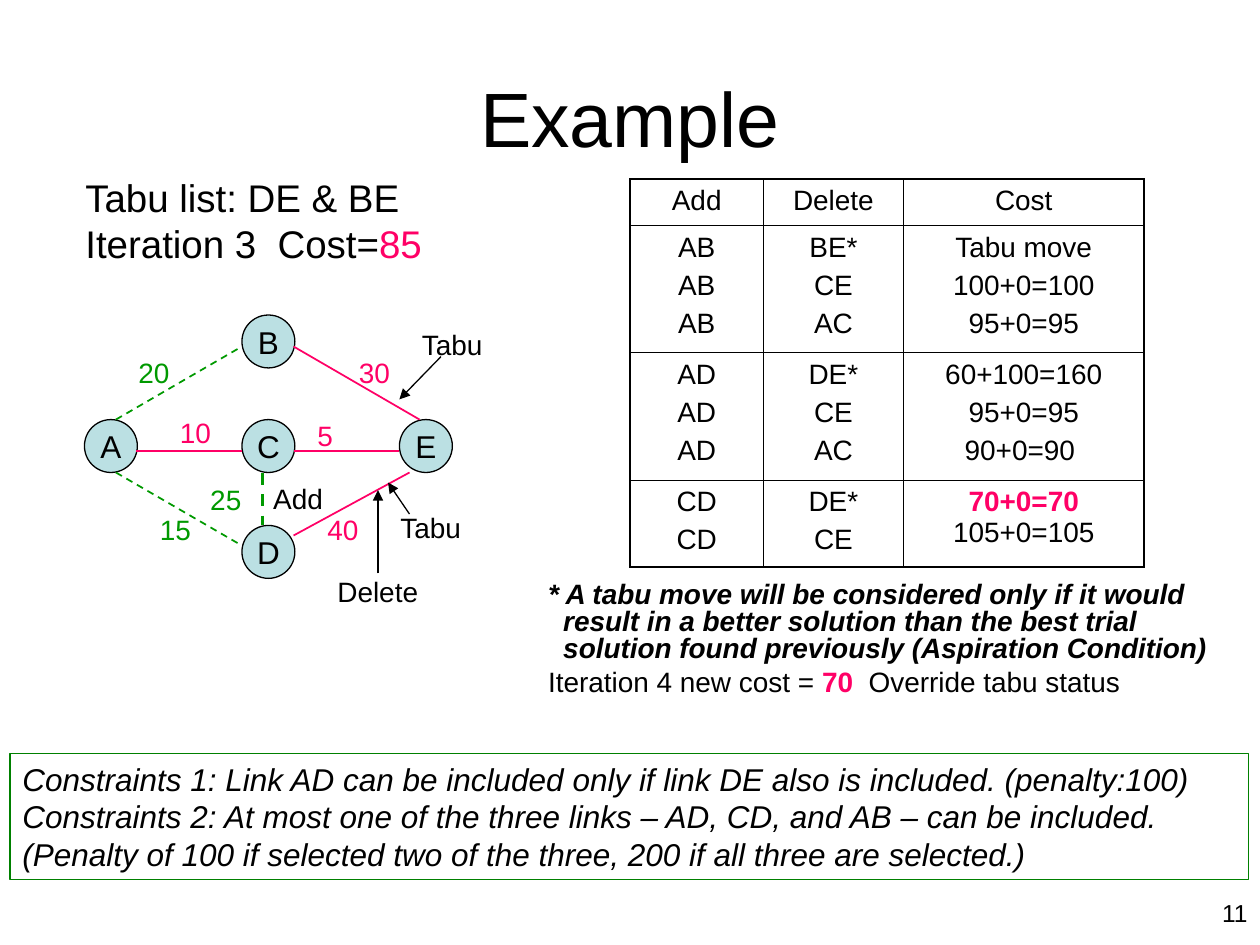
from lxml import etree
from pptx import Presentation, util as u
from pptx.dml import color as dc
from pptx.enum import dml, shapes as sh, text as tx
from pptx.oxml import ns

BLACK, PINK, GREEN = "000000", "FF0066", "009900"
FRAME, NODE = "008000", "BBE0E3"


def rgb(code):
    return dc.RGBColor.from_string(code)


def assign(item, values):
    for key, value in values.items():
        setattr(item, key, value)


def child(parent, tag, **attrs):
    return etree.SubElement(parent, ns.qn(tag), **attrs)


class Deck:
    font = {"name": "Arial", "bold": False, "italic": False}
    pad = {"margin_left": u.Inches(0.1), "margin_right": u.Inches(0.1),
           "margin_top": u.Inches(0.05), "margin_bottom": u.Inches(0.05)}
    bare = dict.fromkeys(pad, 0)

    def __init__(self):
        self.show = Presentation()
        assign(self.show, {"slide_width": u.Inches(10),
                           "slide_height": u.Inches(7.5)})
        self.slide = self.show.slides.add_slide(self.show.slide_layouts[1])

    def prose(self, frame, paras, size, tint=BLACK, align="LEFT",
              gap=0, space=1.0, hang=0, **style):
        for i, runs in enumerate(paras):
            para = frame.paragraphs[0] if i == 0 else frame.add_paragraph()
            if hang:
                props = para._p.get_or_add_pPr()
                props.set("marL", str(u.Inches(hang)))
                props.set("indent", str(-u.Inches(hang)))
                child(props, "a:buNone")
            assign(para, {"alignment": getattr(tx.PP_ALIGN, align),
                          "line_spacing": space,
                          "space_before": u.Pt(gap if i else 0)})
            for part in [(runs, {})] if isinstance(runs, str) else runs:
                words, extra = part
                run = para.add_run()
                run.text = words
                look = {**self.font, "size": u.Pt(size), **style, **extra}
                run.font.color.rgb = rgb(look.pop("tint", tint))
                assign(run.font, look)

    def fit(self, frame, pad, anchor="TOP", wrap=True):
        assign(frame, {**pad, "word_wrap": wrap,
                       "auto_size": tx.MSO_AUTO_SIZE.NONE,
                       "vertical_anchor": getattr(tx.MSO_ANCHOR, anchor)})

    def holder(self, index, box, paras, size, anchor="TOP", **style):
        item = self.slide.placeholders[index]
        names = ("left", "top", "width", "height")
        assign(item, dict(zip(names, map(u.Inches, box))))
        self.fit(item.text_frame, self.pad, anchor)
        self.prose(item.text_frame, paras, size, **style)

    def label(self, box, paras, size=16, **style):
        item = self.slide.shapes.add_textbox(*map(u.Inches, box))
        self.fit(item.text_frame, self.pad)
        self.prose(item.text_frame, paras, size, **style)

    def shape(self, kind, box, paras, edge, width, fill=None,
              pad=None, anchor="TOP", wrap=True, **style):
        item = self.slide.shapes.add_shape(
            getattr(sh.MSO_SHAPE, kind), *map(u.Inches, box))
        item.shadow.inherit = False
        if fill:
            item.fill.solid()
            item.fill.fore_color.rgb = rgb(fill)
        else:
            item.fill.background()
        item.line.color.rgb = rgb(edge)
        item.line.width = u.Pt(width)
        self.fit(item.text_frame, pad or self.pad, anchor, wrap)
        self.prose(item.text_frame, paras, 18, **style)

    def node(self, name, left, top):
        self.shape("OVAL", (left, top, 0.42, 0.42), [name], BLACK, 0.75,
                   NODE, self.bare, "MIDDLE", False, align="CENTER")

    def line(self, ends, tint=BLACK, width=0.75, dash=False, arrow=False):
        item = self.slide.shapes.add_connector(
            sh.MSO_CONNECTOR.STRAIGHT, *map(u.Inches, ends))
        item.line.color.rgb = rgb(tint)
        item.line.width = u.Pt(width)
        if dash:
            item.line.dash_style = dml.MSO_LINE.DASH
        props = item.element.spPr
        if arrow:
            child(props.find(ns.qn("a:ln")), "a:tailEnd", type="triangle")
        child(props, "a:effectLst")

    def border(self, cell, sides):
        props = cell._tc.get_or_add_tcPr()
        for side, thick in sides.items():
            edge = child(props, "a:ln" + side,
                         w=str(u.Pt(1.08 if thick else 0.45)))
            child(child(edge, "a:solidFill"), "a:srgbClr", val=BLACK)

    def table(self, box, cols, rows, data):
        grid = self.slide.shapes.add_table(
            len(rows), len(cols), *map(u.Inches, box)).table
        assign(grid, {"first_row": False, "horz_banding": False})
        for col, width in zip(grid.columns, cols):
            col.width = u.Inches(width)
        for row, height in zip(grid.rows, rows):
            row.height = u.Inches(height)
        for r, line in enumerate(data):
            for c, paras in enumerate(line):
                cell = grid.cell(r, c)
                assign(cell, self.pad)
                self.border(cell, {"L": c == 0, "R": c == len(cols) - 1,
                                   "T": r == 0, "B": r == len(rows) - 1})
                cell.fill.background()
                self.prose(cell.text_frame, paras, 16, align="CENTER", gap=4)


def main():
    deck = Deck()
    hot = {"tint": PINK, "bold": True}
    loud = {"bold": True, "italic": True}
    deck.holder(0, (0.5, 0.3, 9, 1.25), ["Example"], 44, "MIDDLE",
                align="CENTER")
    deck.holder(1, (4.25, 4.58, 5.75, 1.25), [
        [("* A tabu move will be considered only if it would result in a "
          "better solution than the best trial solution found previously "
          "(Aspiration Condition)", loud)],
        [("Iteration 4 new cost = ", {}), ("70", hot),
         ("  Override tabu status", {})],
    ], 16, gap=4, space=0.8, hang=0.12)
    deck.label((8.83, 7.08, 1.17, 0.27), ["11"], 14, align="RIGHT")
    deck.label((0.58, 1.33, 3.33, 0.84), [
        "Tabu list: DE & BE",
        [("Iteration 3  Cost=", {}), ("85", {"tint": PINK})]], 22)

    for name, left, top in [("A", 0.67, 3.33), ("B", 1.92, 2.5),
                            ("C", 1.92, 3.33), ("D", 1.92, 4.17),
                            ("E", 3.17, 3.33)]:
        deck.node(name, left, top)

    for ends in [(1.08, 3.58, 1.92, 3.58), (2.33, 3.58, 3.17, 3.58),
                 (2.33, 4.25, 3.25, 3.75), (2.33, 2.75, 3.33, 3.33)]:
        deck.line(ends, PINK, 1)
    for ends, width in [((0.92, 3.75, 1.92, 4.33), 1),
                        ((0.92, 3.33, 1.92, 2.75), 1),
                        ((2.08, 3.75, 2.08, 4.17), 1.75)]:
        deck.line(ends, GREEN, width, dash=True)
    for ends in [(3.5, 2.83, 3.17, 3.17), (3.25, 4.08, 3.08, 3.83),
                 (3, 4.55, 3, 3.89)]:
        deck.line(ends, arrow=True)

    for words, left, top, width, tint in [
            ("20", 1, 2.77, 0.58, GREEN), ("15", 1.17, 4.02, 0.58, GREEN),
            ("25", 1.57, 3.78, 0.58, GREEN), ("30", 2.75, 2.77, 0.58, PINK),
            ("40", 2.5, 4.02, 0.58, PINK), ("10", 1.33, 3.25, 0.58, PINK),
            ("5", 2.42, 3.27, 0.58, PINK), ("Add", 2.07, 3.77, 0.75, BLACK),
            ("Tabu", 3.25, 2.55, 0.75, BLACK), ("Tabu", 3.08, 4, 1, BLACK),
            ("Delete", 2.58, 4.51, 1, BLACK)]:
        deck.label((left, top, width, 0.37), [words], tint=tint)

    deck.table((5, 1.42, 4.08, 3.08), (1.06, 1.11, 1.91),
               (0.37, 1.01, 1.01, 0.69), [
        [["Add"], ["Delete"], ["Cost"]],
        [["AB"] * 3, ["BE*", "CE", "AC"],
         ["Tabu move", "100+0=100", "95+0=95"]],
        [["AD"] * 3, ["DE*", "CE", "AC"],
         ["60+100=160", "95+0=95", "90+0=90 "]],
        [["CD"] * 2, ["DE*", "CE"],
         [[("70+0=70", hot), (" 105+0=105", {})]]],
    ])
    deck.shape("RECTANGLE", (0.08, 5.98, 9.83, 1), [
        "Constraints 1: Link AD can be included only if link DE also is "
        "included. (penalty:100)",
        "Constraints 2: At most one of the three links – AD, CD, and AB – "
        "can be included.",
        "(Penalty of 100 if selected two of the three, 200 if all three are "
        "selected.)",
    ], FRAME, 1, italic=True)
    deck.show.save("out.pptx")


if __name__ == "__main__":
    main()
